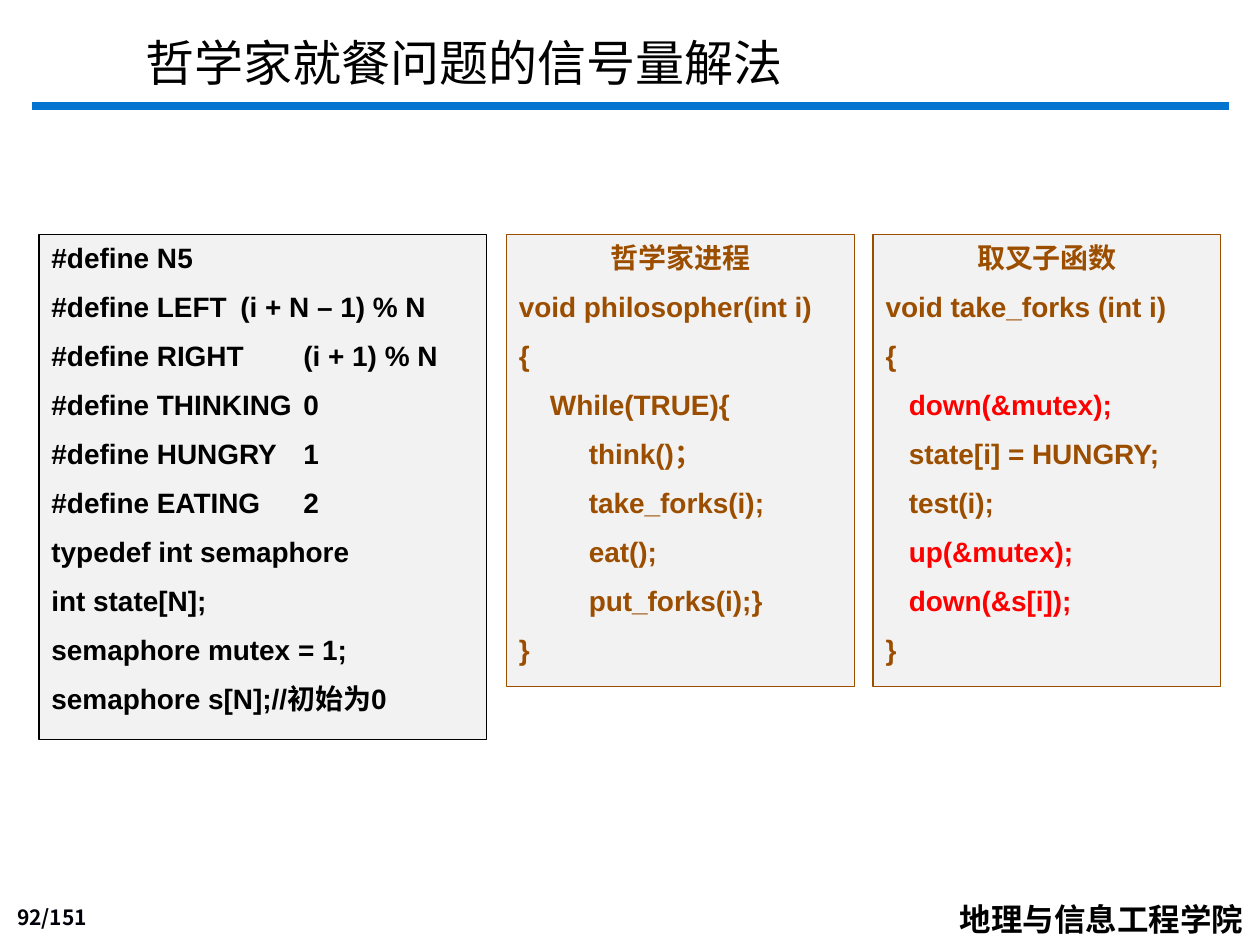
from lxml.etree import SubElement
from pptx import Presentation
from pptx.dml.color import RGBColor
from pptx.enum.shapes import MSO_CONNECTOR as Connector, MSO_SHAPE as Shape
from pptx.enum.text import MSO_ANCHOR as Anchor, PP_ALIGN as Align
from pptx.oxml.ns import qn
from pptx.util import Inches, Pt

COLUMN = ROW = Inches(0.1)
SPACE = Inches(0.0617)
CJK = "Noto Sans CJK SC"
BLACK, BROWN, RED, BLUE, GREY = "000000", "9C4E00", "FF0000", "0574D0", "F2F2F2"
PANEL_TOP = 18.6
DEFINES = [
    ("N", "5", 15.5),
    ("LEFT", "(i + N – 1) % N", 17.7),
    ("RIGHT", "(i + 1) % N", 17.8),
    ("THINKING", "0", 19.7),
    ("HUNGRY", "1", 19.7),
    ("EATING", "2", 19.7),
]
DECLARATIONS = [
    "typedef int semaphore",
    "int state[N];",
    "semaphore mutex = 1;",
    "semaphore s[N];//初始为0",
]
PHILOSOPHER = [
    ("void philosopher(int i)", 0, BROWN),
    ("{", 0, BROWN),
    ("While(TRUE){", 4, BROWN),
    ("think()；", 9, BROWN),
    ("take_forks(i);", 9, BROWN),
    ("eat();", 9, BROWN),
    ("put_forks(i);}", 9, BROWN),
    ("}", 0, BROWN),
]
TAKE_FORKS = [
    ("void take_forks (int i)", 0, BROWN),
    ("{", 0, BROWN),
    ("down(&mutex);", 3, RED),
    ("state[i] = HUNGRY;", 3, BROWN),
    ("test(i);", 3, BROWN),
    ("up(&mutex);", 3, RED),
    ("down(&s[i]);", 3, RED),
    ("}", 0, BROWN),
]


def rgb(value):
    return RGBColor.from_string(value)


def place(left, top, width, height):
    return [round(n * unit) for n, unit in
            zip((left, top, width, height), (COLUMN, ROW, COLUMN, ROW))]


def add_run(paragraph, text, size, color, bold=True, font="Arial", asian=CJK):
    run = paragraph.add_run()
    run.text = text
    run.font.size = Pt(size)
    run.font.bold = bold
    run.font.color.rgb = rgb(color)
    run.font.name = font
    SubElement(run.font._element, qn("a:ea"), typeface=asian)


def add_label(slide, area, text, size, color=BLACK, align=Align.LEFT,
              anchor=Anchor.TOP, wrap=True, **style):
    frame = slide.shapes.add_textbox(*place(*area)).text_frame
    frame.word_wrap = wrap
    frame.vertical_anchor = anchor
    paragraph = frame.paragraphs[0]
    paragraph.alignment = align
    add_run(paragraph, text, size, color, **style)


def add_rule(slide, left, right, row):
    rule = slide.shapes.add_connector(
        Connector.STRAIGHT, *place(left, row, right, row))
    rule.line.color.rgb = rgb(BLUE)
    rule.line.width = Pt(4.5)
    SubElement(rule._element.spPr, qn("a:effectLst"))


def add_panel(slide, left, width, height, color):
    shape = slide.shapes.add_shape(
        Shape.RECTANGLE, *place(left, PANEL_TOP, width, height))
    shape.shadow.inherit = False
    shape.fill.solid()
    shape.fill.fore_color.rgb = rgb(GREY)
    shape.line.color.rgb = rgb(color)
    shape.line.width = Pt(0.75)
    frame = shape.text_frame
    frame.word_wrap = True
    frame.vertical_anchor = Anchor.TOP
    return frame


def add_line(frame, text, color, indent=0, align=Align.LEFT, tab=None):
    paragraph = frame.paragraphs[0]
    if paragraph.runs:
        paragraph = frame.add_paragraph()
        paragraph.space_before = Pt(8.8)
    paragraph.alignment = align
    properties = paragraph._p.get_or_add_pPr()
    properties.set("marL", str(indent * SPACE))
    properties.set("indent", "0")
    if tab:
        stops = SubElement(properties, qn("a:tabLst"))
        SubElement(stops, qn("a:tab"), pos=str(round(tab * COLUMN)), algn="l")
    add_run(paragraph, text, 16, color)


def add_definitions(slide):
    frame = add_panel(slide, 3.1, 35.5, 40.1, BLACK)
    for name, value, tab in DEFINES:
        add_line(frame, f"#define {name}\t{value}", BLACK, tab=tab)
    for text in DECLARATIONS:
        add_line(frame, text, BLACK)


def add_function(slide, left, heading, lines):
    frame = add_panel(slide, left, 27.6, 35.9, BROWN)
    add_line(frame, heading, BROWN, align=Align.CENTER)
    for text, indent, color in lines:
        add_line(frame, text, color, indent)


def main():
    presentation = Presentation()
    presentation.slide_width = 100 * COLUMN
    presentation.slide_height = 75 * ROW
    slide = presentation.slides.add_slide(presentation.slide_layouts[6])
    add_rule(slide, 2.5, 97.5, 8.4)
    add_label(slide, (0, 71.4, 7.9, 2.9), "92/151", 12, "000008", Align.RIGHT,
              Anchor.BOTTOM, font="Noto Sans CJK JP")
    add_label(slide, (75.2, 70.9, 24.7, 4), "地理与信息工程学院", 18,
              wrap=False, font=CJK)
    add_definitions(slide)
    add_function(slide, 40.2, "哲学家进程", PHILOSOPHER)
    add_function(slide, 69.3, "取叉子函数", TAKE_FORKS)
    add_label(slide, (10.6, 2.1, 64.2, 5.2), "哲学家就餐问题的信号量解法", 28,
              bold=False)
    presentation.save("out.pptx")


if __name__ == "__main__":
    main()
